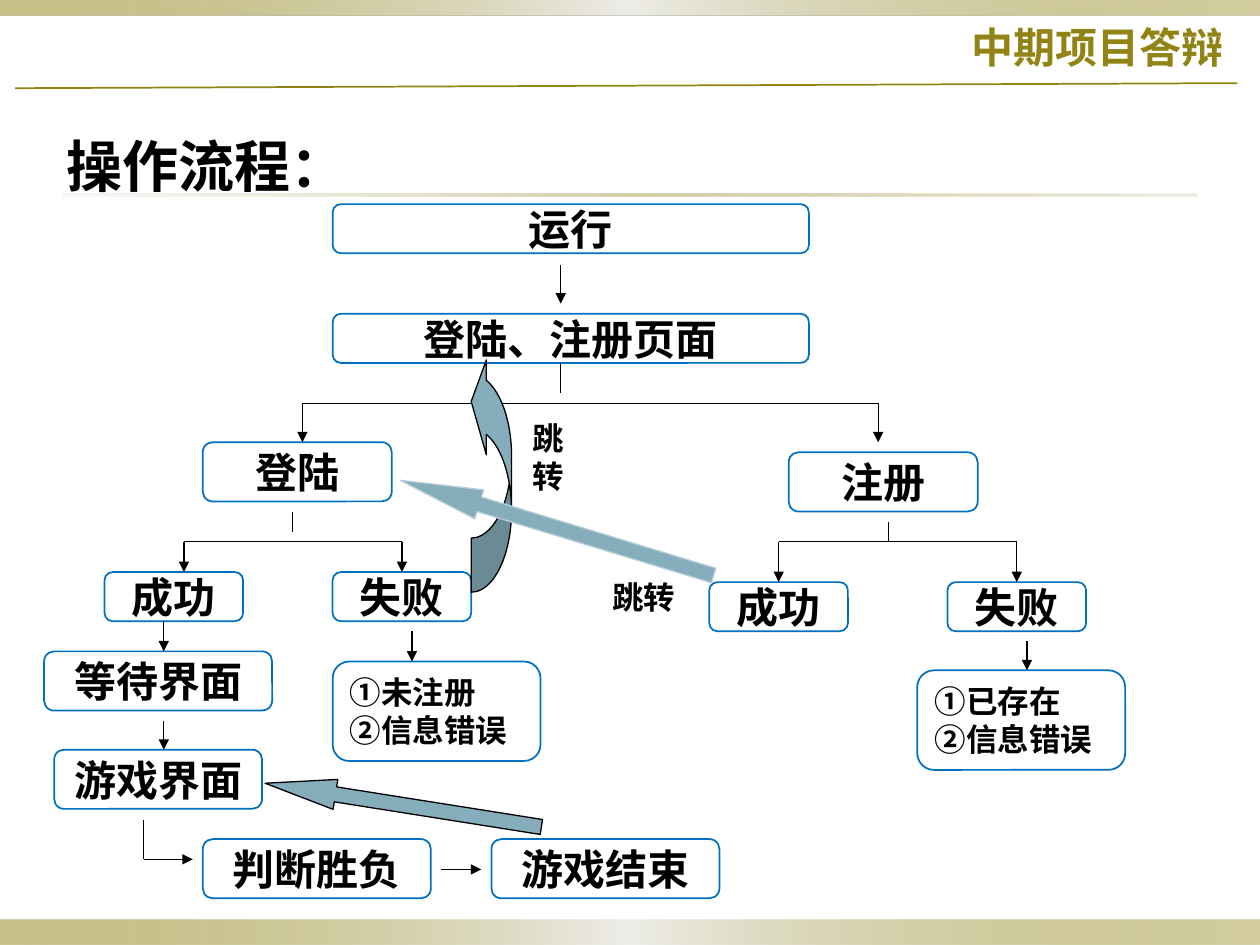
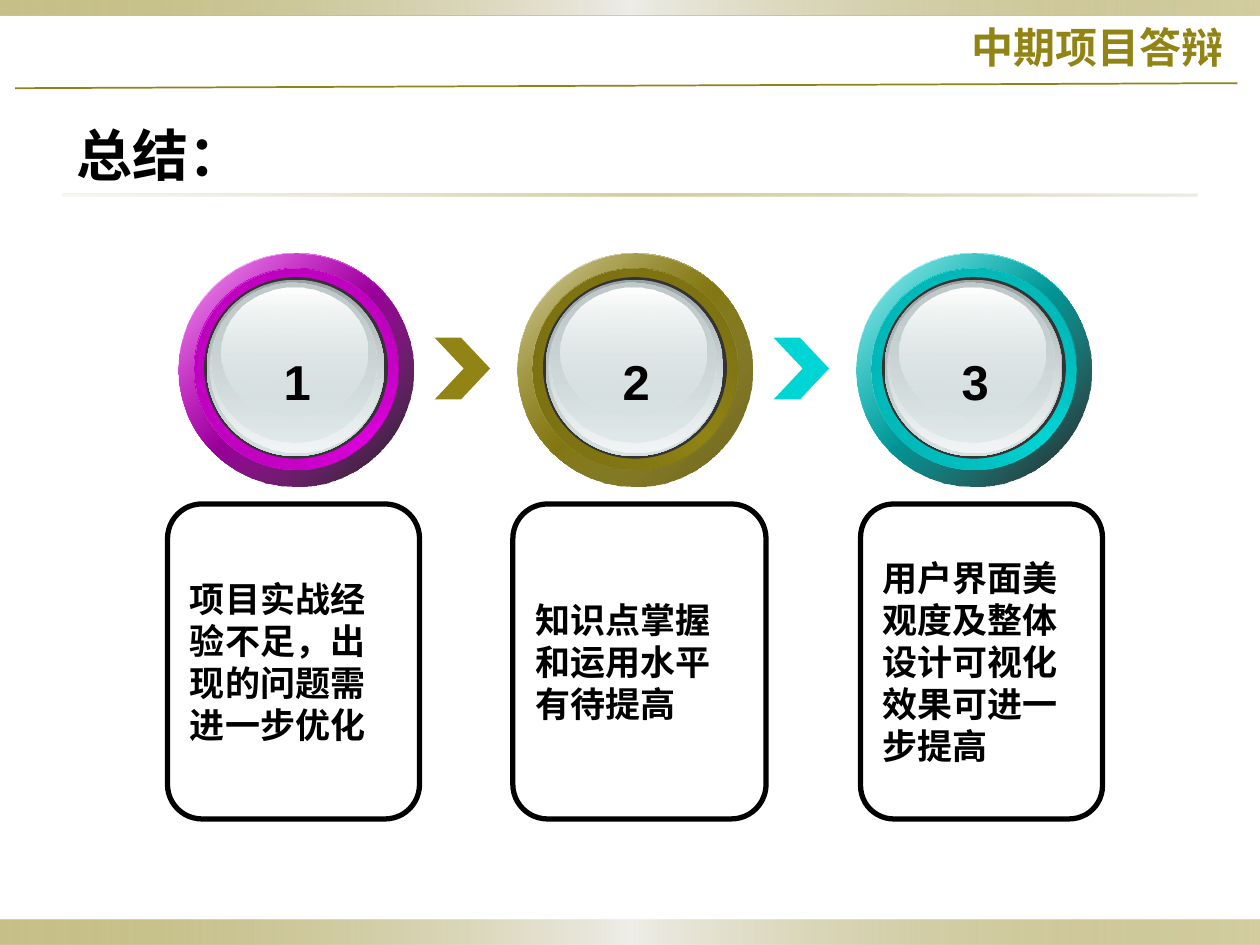
from dataclasses import dataclass

from pptx import Presentation
from pptx import util as u
from pptx.dml.color import RGBColor
from pptx.enum import shapes, text
from pptx.oxml import parse_xml
from pptx.oxml.ns import nsdecls, qn

PX = 9144
FORM = shapes.MSO_SHAPE
ALIGN = text.PP_ALIGN
ANCHOR = text.MSO_ANCHOR


@dataclass(frozen=True)
class Theme:
    olive: str = "918415"
    ink: str = "000000"
    paper: str = "FFFFFF"
    box_edge: str = "0070C0"
    jump: str = "85ADBC"
    jump_edge: str = "B6CED7"
    magenta: str = "DD00DD"
    cyan: str = "00D5D5"
    rim: str = "333333"
    pale: str = "DCD9CC"
    silver: str = "EEEDE8"
    glass: str = "D6E1E2"
    heading_font: str = "Cabin"
    body_font: str = "Arial"
    cjk_font: str = "Noto Sans CJK SC"
    heading_size: int = 32
    number_size: int = 28
    node_size: int = 24
    card_size: int = 20
    note_size: int = 18


T = Theme()
BAND = [(0, T.olive, 50), (50, T.silver, 100), (100, T.olive, 40)]
RULE = [(0, T.pale, 20), (50, T.olive, 40), (100, T.pale, 50)]
GLASS = [
    ((22, 21, 141, 140), [(0, "99A1A2", 100), (100, T.glass, 100)]),
    ((24, 22, 138, 136), [(0, T.glass, 0), (100, "F2F5F5", 100)]),
    ((26, 23, 131, 127), [(0, "C1CBCC", 100), (100, T.glass, 48)]),
    ((34, 27, 116, 103), [(0, T.paper, 100), (100, T.glass, 38)]),
]


def px(*lengths):
    return [u.Emu(length * PX) for length in lengths]


def rgb(code):
    return RGBColor.from_string(code)


def write(frame, words, size, align=ALIGN.LEFT, anchor=ANCHOR.TOP,
          color=T.ink, font=T.body_font, wrap=True):
    frame.text = words
    frame.word_wrap = wrap
    frame.vertical_anchor = anchor
    for paragraph in frame.paragraphs:
        paragraph.alignment = align
        for run in paragraph.runs:
            run.font.size = u.Pt(size)
            run.font.bold = True
            run.font.color.rgb = rgb(color)
            run.font.name = font
            east_asian = parse_xml(f'<a:ea {nsdecls("a")} typeface="{T.cjk_font}"/>')
            run.font._element.append(east_asian)


def label(slide, area, words, size, **style):
    write(slide.shapes.add_textbox(*px(*area)).text_frame, words, size, **style)


def outline(slide, form, area, fill=None, edge=None, weight=0.75, adjust=()):
    shape = slide.shapes.add_shape(form, *px(*area))
    shape.shadow.inherit = False
    for index, value in enumerate(adjust):
        shape.adjustments[index] = value
    if fill:
        shape.fill.solid()
        shape.fill.fore_color.rgb = rgb(fill)
    else:
        shape.fill.background()
    if edge:
        shape.line.color.rgb = rgb(edge)
        shape.line.width = u.Pt(weight)
    else:
        shape.line.fill.background()
    return shape


def gradient(slide, form, area, stops, angle=0):
    properties = outline(slide, form, area)._element.spPr
    marks = "".join(
        f'<a:gs pos="{place * 1000}"><a:srgbClr val="{color}">'
        f'<a:alpha val="{opacity * 1000}"/></a:srgbClr></a:gs>'
        for place, color, opacity in stops)
    blend = parse_xml(
        f'<a:gradFill {nsdecls("a")} rotWithShape="1"><a:gsLst>{marks}</a:gsLst>'
        f'<a:lin ang="{angle * 60000}" scaled="1"/></a:gradFill>')
    properties.replace(properties.find(qn("a:noFill")), blend)


def line(slide, x1, y1, x2, y2, head=False, color=T.ink, weight=0.75):
    link = slide.shapes.add_connector(
        shapes.MSO_CONNECTOR.STRAIGHT, *px(x1, y1, x2, y2))
    link.line.color.rgb = rgb(color)
    link.line.width = u.Pt(weight)
    properties = link._element.spPr
    if head:
        properties.find(qn("a:ln")).append(
            parse_xml(f'<a:tailEnd {nsdecls("a")} type="triangle"/>'))
    properties.append(parse_xml(f'<a:effectLst {nsdecls("a")}/>'))


def node(slide, area, words, size=T.node_size, align=ALIGN.CENTER):
    box = outline(slide, FORM.ROUNDED_RECTANGLE, area, T.paper, T.box_edge, 1,
                  [0.167])
    write(box.text_frame, words, size, align, ANCHOR.MIDDLE)


def fork(slide, stem, bar_y, ends, tip_y):
    x, top, bottom = stem
    line(slide, x, top, x, bottom)
    line(slide, ends[0], bar_y, ends[1], bar_y)
    for end in ends:
        line(slide, end, bar_y, end, tip_y, head=True)


def jump_arrow(slide, area, turn, length, edge):
    arrow = outline(slide, FORM.LEFT_ARROW, area, T.jump, edge,
                    adjust=[0.5, length])
    arrow.rotation = turn


def badge(slide, left, top, number, color, dark, mid, shade):
    def layer(area, stops, angle):
        x, y, width, height = area
        gradient(slide, FORM.OVAL, (left + x, top + y, width, height), stops, angle)

    ring, groove = (0, 0, 186, 185), (12, 12, 162, 160)
    layer(ring, [(0, T.paper, 100), (50, color, 100), (100, T.paper, 100)], 45)
    layer(ring, [(0, color, 32), (100, *shade)], 45)
    layer(groove, [(0, dark, 100), (50, color, 100), (100, dark, 100)], 315)
    layer(groove, [(0, mid, 100), (100, color, 0)], 45)
    outline(slide, FORM.OVAL, (left + 20, top + 19, 146, 144), T.rim)
    for area, stops in GLASS:
        layer(area, stops, 90)
    label(slide, (left + 73, top + 73, 42, 57), number, T.number_size,
          align=ALIGN.CENTER, wrap=False)


def new_slide(deck, heading, left, top):
    slide = deck.slides.add_slide(deck.slide_layouts[5])
    gradient(slide, FORM.RECTANGLE, (0, 730, 1000, 20), BAND)
    gradient(slide, FORM.RECTANGLE, (0, 0, 1000, 12), BAND)
    gradient(slide, FORM.RECTANGLE, (50, 154, 900, 2), RULE)
    line(slide, 12, 70, 982, 66, color=T.olive, weight=1)
    label(slide, (522, 12, 459, 50), "中期项目答辩", T.node_size,
          align=ALIGN.RIGHT, color=T.olive, font=T.cjk_font)
    title = slide.shapes.title
    title.left, title.top, title.width, title.height = px(left, top, 900, 60)
    write(title.text_frame, heading, T.heading_size, font=T.heading_font)
    title.text_frame.auto_size = text.MSO_AUTO_SIZE.NONE
    return slide


def flow_slide(deck):
    slide = new_slide(deck, "操作流程：", 43, 99)
    for area, step in [
        ((264, 162, 378, 39), "运行"),
        ((264, 249, 378, 39), "登陆、注册页面"),
        ((161, 351, 150, 47), "登陆"),
        ((626, 359, 150, 47), "注册"),
        ((83, 454, 110, 39), "成功"),
        ((264, 454, 110, 39), "失败"),
        ((563, 462, 110, 39), "成功"),
        ((752, 462, 110, 39), "失败"),
        ((35, 517, 181, 47), "等待界面"),
        ((43, 595, 165, 47), "游戏界面"),
        ((161, 666, 181, 47), "判断胜负"),
        ((390, 666, 181, 47), "游戏结束"),
    ]:
        node(slide, area, step)
    for left, top, reasons in [(264, 525, "①未注册\n②信息错误"),
                               (728, 532, "①已存在\n②信息错误")]:
        node(slide, (left, top, 165, 79), reasons, T.note_size, ALIGN.LEFT)

    fork(slide, (445, 288, 312), 320, (240, 697), 351)
    fork(slide, (232, 406, 422), 430, (146, 319), 454)
    fork(slide, (705, 414, 430), 430, (618, 807), 462)
    for x, top, bottom in [(445, 210, 241), (327, 501, 525), (130, 493, 517),
                           (130, 572, 595), (815, 509, 532)]:
        line(slide, x, top, x, bottom, head=True)
    line(slide, 114, 651, 114, 682)
    line(slide, 114, 682, 153, 682, head=True)
    line(slide, 350, 690, 382, 690, head=True)

    retry = outline(slide, FORM.CURVED_RIGHT_ARROW, (374, 281, 32, 189), T.jump,
                    T.ink, adjust=[1.341, 2.352, 0.374])
    for flip in ("flipH", "flipV"):
        retry._element.spPr.find(qn("a:xfrm")).set(flip, "1")
    jump_arrow(slide, (312, 407, 260, 24), 16.9, 2.732, T.jump_edge)
    jump_arrow(slide, (209, 627, 222, 24), 9, 2.355, T.ink)
    for area in [(476, 454, 79, 40), (413, 328, 47, 70)]:
        label(slide, area, "跳转", T.note_size)


def summary_slide(deck):
    slide = new_slide(deck, "总结：", 51, 91)
    for left, width, lesson in [
        (133, 200, "项目实战经验不足，出现的问题需进一步优化"),
        (407, 201, "知识点掌握和运用水平有待提高"),
        (683, 192, "用户界面美观度及整体设计可视化效果可进一步提高"),
    ]:
        card = outline(slide, FORM.ROUNDED_RECTANGLE, (left, 400, width, 250),
                       edge=T.ink, weight=3, adjust=[0.137])
        write(card.text_frame, lesson, T.card_size, anchor=ANCHOR.MIDDLE)

    first, step = 142, 269
    for index, tones in enumerate([
        (T.magenta, "A900A9", "B500B5", (T.ink, 90)),
        (T.olive, "6F6510", "776C11", ("685E0F", 100)),
        (T.cyan, "00A3A3", "00AFAF", (T.ink, 90)),
    ]):
        badge(slide, first + index * step, 201, str(index + 1), *tones)
    for index, color in enumerate([T.olive, T.cyan]):
        outline(slide, FORM.CHEVRON, (345 + index * step, 268, 44, 49), color,
                adjust=[0.525])


def main():
    deck = Presentation()
    deck.slide_width, deck.slide_height = px(1000, 750)
    flow_slide(deck)
    summary_slide(deck)
    deck.save("out.pptx")


if __name__ == "__main__":
    main()
